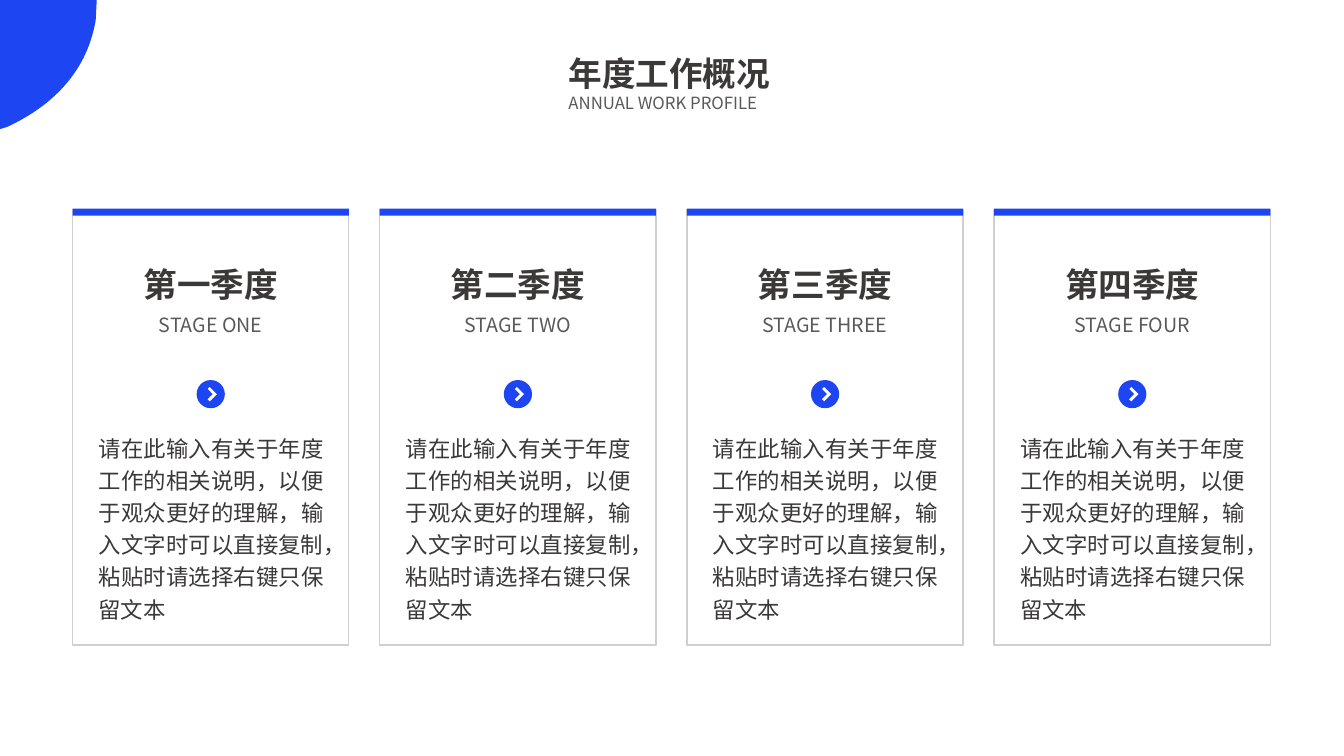
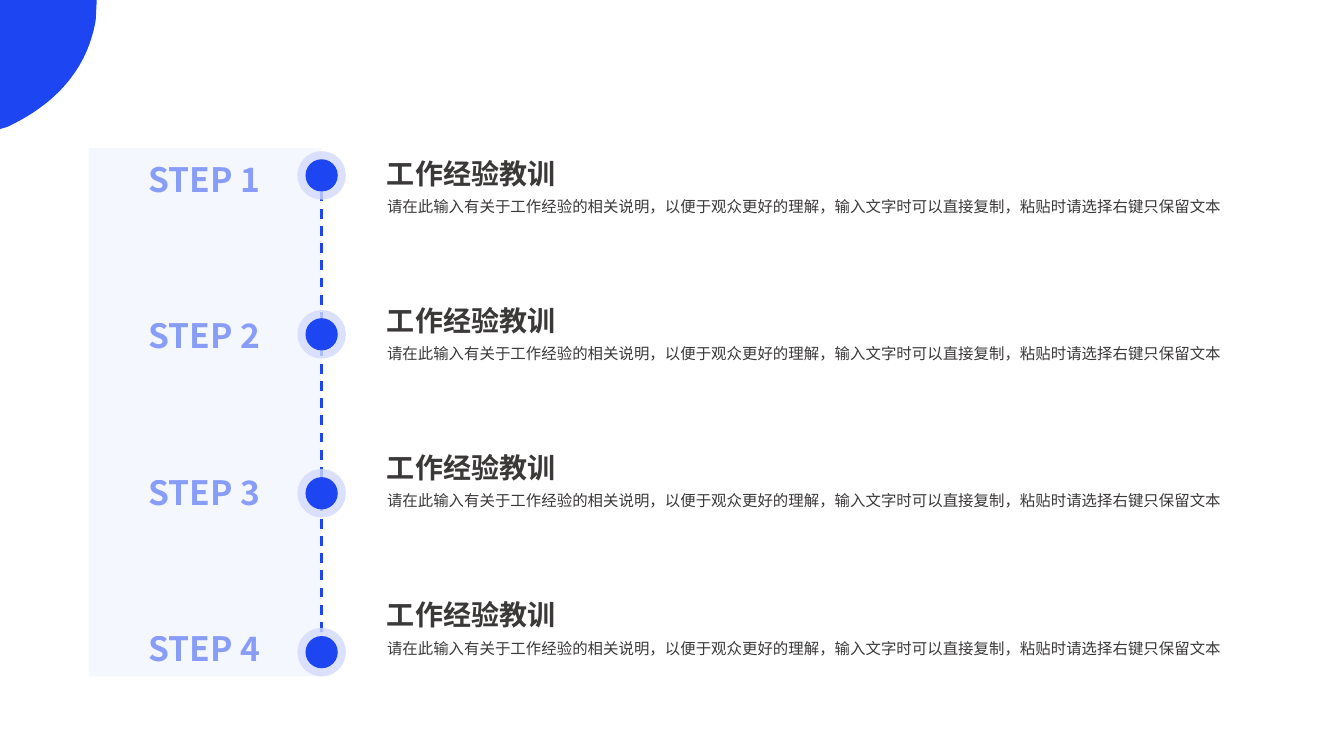
import dataclasses

import lxml.etree
import pptx
import pptx.dml.color
import pptx.enum.dml
import pptx.enum.shapes
import pptx.enum.text
import pptx.oxml.ns
import pptx.util

Inches = pptx.util.Inches
Shape = pptx.enum.shapes.MSO_SHAPE
Align = pptx.enum.text.PP_ALIGN
qn = pptx.oxml.ns.qn


@dataclasses.dataclass(frozen=True)
class Theme:
    font: str = "Noto Sans CJK SC"
    blue: str = "1D45F2"
    panel: str = "A5B5FA"
    halo: str = "D2DAFC"
    white: str = "FFFFFF"
    border: str = "D0CECE"
    dark: str = "3B3838"
    grey: str = "595959"
    title_size: float = 24
    item_size: float = 20
    body_size: float = 16
    stage_size: float = 14
    subtitle_size: float = 12
    note_size: float = 11


def color(value):
    return pptx.dml.color.RGBColor.from_string(value)


def set_opacity(element, query, percent):
    for node in element.xpath(query):
        alpha = lxml.etree.SubElement(node, qn("a:alpha"))
        alpha.set("val", str(percent * 1000))


def set_preset(shape, preset, **adjustments):
    geometry = shape.element.xpath("./p:spPr/a:prstGeom")[0]
    geometry.set("prst", preset)
    guides = geometry.find(qn("a:avLst"))
    for name, value in adjustments.items():
        guide = lxml.etree.SubElement(guides, qn("a:gd"))
        guide.set("name", name)
        guide.set("fmla", f"val {value}")


def spread(first, last, count):
    return [first + (last - first) * index / (count - 1) for index in range(count)]


def bezier(points, count):
    for index in range(1, count + 1):
        t = index / count
        weights = ((1 - t) ** 3, 3 * t * (1 - t) ** 2, 3 * t * t * (1 - t), t ** 3)
        yield tuple(sum(w * point[axis] for w, point in zip(weights, points)) for axis in (0, 1))


class Deck:
    def __init__(self, theme):
        self.theme = theme
        self.presentation = pptx.Presentation()
        self.presentation.slide_width = Inches(13.33)
        self.presentation.slide_height = Inches(7.5)
        self.slide = None

    def new_slide(self):
        self.slide = self.presentation.slides.add_slide(self.presentation.slide_layouts[6])
        self.corner_blob()

    def corner_blob(self):
        curve = [(0.95, 0.2), (0.86, 0.73), (0.5, 1.06), (0.07, 1.26)]
        outline = [(0.96, 0), curve[0], *bezier(curve, 30), (0, 1.28)]
        builder = self.slide.shapes.build_freeform(0, 0)
        builder.add_line_segments([(Inches(x), Inches(y)) for x, y in outline])
        self.paint(builder.convert_to_shape(), self.theme.blue)

    def paint(self, shape, fill, line=None, opacity=None):
        shape.shadow.inherit = False
        shape.fill.solid()
        shape.fill.fore_color.rgb = color(fill)
        if opacity:
            set_opacity(shape.element, "./p:spPr/a:solidFill/a:srgbClr", opacity)
        if line:
            shape.line.color.rgb = color(line)
            shape.line.width = pptx.util.Pt(1)
        else:
            shape.line.fill.background()

    def shape(self, kind, left, top, width, height, fill, line=None, opacity=None):
        shape = self.slide.shapes.add_shape(
            kind, Inches(left), Inches(top), Inches(width), Inches(height))
        self.paint(shape, fill, line, opacity)
        return shape

    def circle(self, center_x, center_y, size, fill, opacity=None):
        self.shape(Shape.OVAL, center_x - size / 2, center_y - size / 2, size, size,
                   fill, opacity=opacity)

    def arrow_badge(self, center_x, center_y):
        self.circle(center_x, center_y, 0.28, self.theme.blue)
        chevron = self.shape(Shape.RECTANGLE, center_x - 0.06, center_y - 0.05, 0.1, 0.1,
                             self.theme.white)
        set_preset(chevron, "corner", adj1=27300, adj2=28900)
        chevron.rotation = 225

    def dashed_line(self, x, top, bottom):
        line = self.slide.shapes.add_connector(
            pptx.enum.shapes.MSO_CONNECTOR.STRAIGHT,
            Inches(x), Inches(top), Inches(x), Inches(bottom))
        line.line.color.rgb = color(self.theme.blue)
        line.line.width = pptx.util.Pt(1.75)
        line.line.dash_style = pptx.enum.dml.MSO_LINE.DASH
        lxml.etree.SubElement(line.element.spPr, qn("a:effectLst"))

    def text(self, words, left, top, width, height, size, fill, bold=False,
             align=Align.LEFT, spacing=1.0, grow=False, opacity=None):
        box = self.slide.shapes.add_textbox(
            Inches(left), Inches(top), Inches(width), Inches(height))
        frame = box.text_frame
        frame.text = words
        frame.word_wrap = True
        if grow:
            frame.auto_size = pptx.enum.text.MSO_AUTO_SIZE.SHAPE_TO_FIT_TEXT
        paragraph = frame.paragraphs[0]
        paragraph.alignment = align
        paragraph.line_spacing = spacing
        font = paragraph.runs[0].font
        font.size = pptx.util.Pt(size)
        font.bold = bold
        font.name = self.theme.font
        font.color.rgb = color(fill)
        for properties in box.element.iter(qn("a:rPr")):
            east_asian = lxml.etree.SubElement(properties, qn("a:ea"))
            east_asian.set("typeface", self.theme.font)
        if opacity:
            set_opacity(box.element, ".//a:rPr/a:solidFill/a:srgbClr", opacity)

    def title(self, words, subtitle):
        theme = self.theme
        self.text(subtitle, 5.54, 0.87, 2.26, 0.3, theme.subtitle_size, theme.grey,
                  align=Align.JUSTIFY, grow=True)
        self.text(words, 5.54, 0.52, 2.26, 0.46, theme.title_size, theme.dark, bold=True,
                  align=Align.JUSTIFY, spacing=0.9, grow=True)

    def quarter_card(self, left, quarter, stage, body):
        theme = self.theme
        width = 2.74
        self.shape(Shape.RECTANGLE, left, 2.08, width, 4.32, theme.white, line=theme.border)
        self.shape(Shape.RECTANGLE, left, 2.07, width, 0.07, theme.blue)
        self.text(quarter, left + 0.3, 2.61, width - 0.6, 0.46, theme.title_size, theme.dark,
                  bold=True, align=Align.CENTER, spacing=0.9, grow=True)
        self.text(stage, left + 0.18, 3.08, width - 0.36, 0.31, theme.stage_size, theme.grey,
                  align=Align.CENTER, spacing=0.9, grow=True)
        self.arrow_badge(left + width / 2, 3.91)
        self.text(body, left + 0.16, 4.21, 2.43, 2.01, theme.body_size, theme.dark,
                  align=Align.JUSTIFY, spacing=1.2, grow=True)

    def step(self, label, label_top, center_x, center_y):
        theme = self.theme
        self.circle(center_x, center_y, 0.48, theme.halo, opacity=80)
        self.circle(center_x, center_y, 0.32, theme.blue)
        self.text(label, 1.18, label_top, 1.5, 0.59, theme.title_size, theme.blue, bold=True,
                  align=Align.RIGHT, spacing=0.9, opacity=50)

    def lesson(self, top, heading, body):
        theme = self.theme
        self.text(heading, 3.74, top, 4.64, 0.46, theme.item_size, theme.dark, bold=True)
        self.text(body, 3.74, top + 0.37, 8.71, 0.57, theme.note_size, theme.dark, spacing=1.2)


def instructions(topic):
    return (f"请在此输入有关于{topic}的相关说明，以便于观众更好的理解，"
            "输入文字时可以直接复制，粘贴时请选择右键只保留文本")


def build_profile(deck):
    deck.new_slide()
    deck.title("年度工作概况", "ANNUAL WORK PROFILE")
    quarters = [("第一季度", "STAGE ONE"), ("第二季度", "STAGE TWO"),
                ("第三季度", "STAGE THREE"), ("第四季度", "STAGE FOUR")]
    for left, (quarter, stage) in zip(spread(0.72, 9.86, len(quarters)), quarters):
        deck.quarter_card(left, quarter, stage, instructions("年度工作"))


def build_lessons(deck):
    deck.new_slide()
    count = 4
    axis_x = 3.19
    deck.shape(Shape.RECTANGLE, 0.88, 1.47, 2.31, 5.24, deck.theme.panel, opacity=10)
    deck.dashed_line(axis_x, 1.9, 6.31)
    rows = zip(spread(1.74, 6.47, count), spread(1.57, 6.23, count), spread(1.5, 5.88, count))
    for number, (center_y, label_top, lesson_top) in enumerate(rows, 1):
        deck.step(f"STEP {number}", label_top, axis_x, center_y)
        deck.lesson(lesson_top, "工作经验教训", instructions("工作经验"))


def main():
    deck = Deck(Theme())
    build_profile(deck)
    build_lessons(deck)
    deck.presentation.save("out.pptx")


if __name__ == "__main__":
    main()
